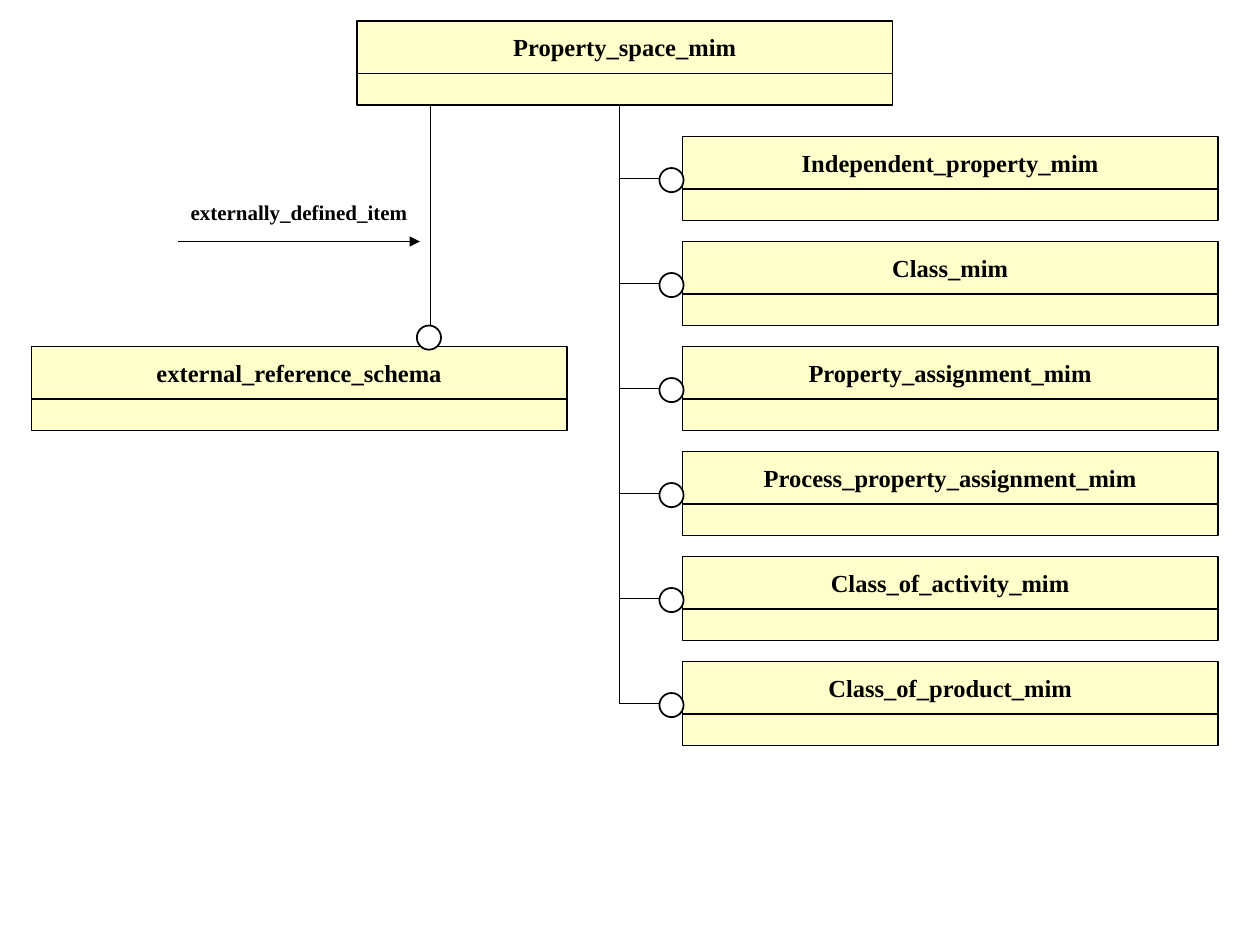
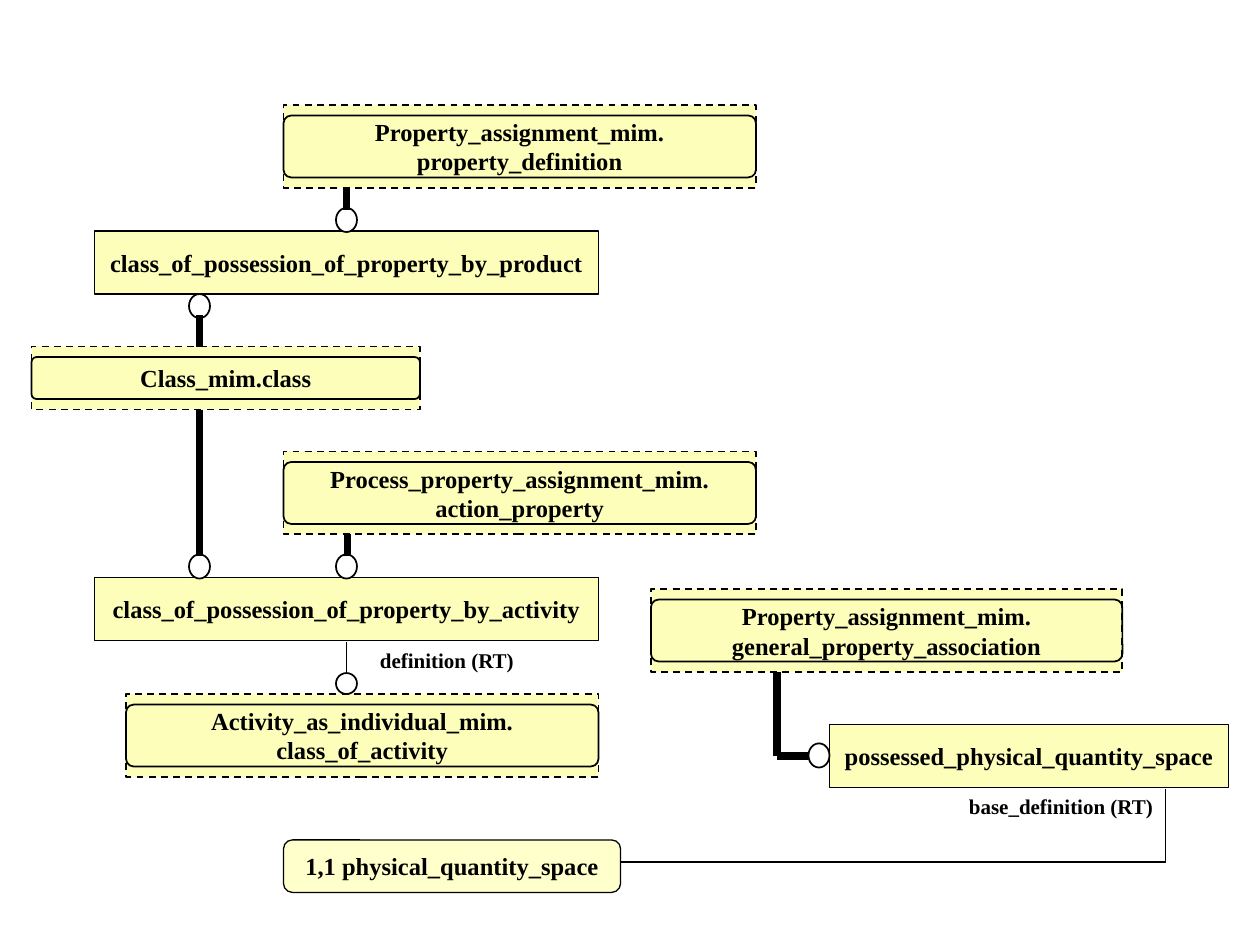
import pptx
import pptx.util
import pptx.dml.color
import pptx.enum.dml
import pptx.enum.shapes
import pptx.enum.text
import pptx.oxml

SHAPE = pptx.enum.shapes.MSO_SHAPE
ALIGN = pptx.enum.text.PP_ALIGN
ANCHOR = pptx.enum.text.MSO_ANCHOR
PX = 7620  # EMU per px: 120 px to the inch
COLORS = {"ink": "000000", "paper": "FFFFFF", "schema": "FFFFCC", "entity": "FCFEB9"}
FONT = "Times New Roman"


def rgb(name):
    return pptx.dml.color.RGBColor.from_string(COLORS[name])


class Diagram:
    """The shared style, and the slide being drawn on."""

    def __init__(self, prs):
        self.prs = prs
        self.s = None

    def new_slide(self):
        self.s = self.prs.slides.add_slide(self.prs.slide_layouts[6])
        self.s.background.fill.solid()
        self.s.background.fill.fore_color.rgb = rgb("paper")

    def set_text(self, sp, text, size, align):
        tf = sp.text_frame
        tf.text = text
        for p in tf.paragraphs:
            p.alignment = align
            p.font.name = FONT
            p.font.size = pptx.util.Pt(size)
            p.font.bold = True
            p.font.color.rgb = rgb("ink")
        return tf

    def shape(self, kind, x, y, w, h, fill=None, text="", weight=1, radius=None, parent=None):
        shapes = (parent or self.s).shapes
        sp = shapes.add_shape(kind, x * PX, y * PX, w * PX, h * PX)
        sp.shadow.inherit = False
        if fill:
            sp.fill.solid()
            sp.fill.fore_color.rgb = rgb(fill)
        else:
            sp.fill.background()
        sp.line.color.rgb = rgb("ink")
        sp.line.width = pptx.util.Pt(weight)
        if radius:
            sp.adjustments[0] = radius
        if text:
            tf = self.set_text(sp, text, 14, ALIGN.CENTER)
            tf.word_wrap = False
            tf.vertical_anchor = ANCHOR.MIDDLE
        return sp

    def schema(self, x, y, name):
        """A named box with an empty compartment below."""
        group = self.s.shapes.add_group_shape()
        self.shape(SHAPE.RECTANGLE, x, y, 510, 50, "schema", name, 0.75, parent=group)
        self.shape(SHAPE.RECTANGLE, x, y + 50, 510, 30, "schema", weight=0.75, parent=group)

    def entity(self, x, y, w, name):
        self.shape(SHAPE.RECTANGLE, x, y, w, 60, "entity", name)

    def reference(self, x, y, w, h, name):
        """A dashed box with a rounded frame: an entity of another schema."""
        group = self.s.shapes.add_group_shape()
        box = self.shape(SHAPE.RECTANGLE, x, y, w, h, "entity", name, parent=group)
        box.line.dash_style = pptx.enum.dml.MSO_LINE.DASH
        self.shape(SHAPE.ROUNDED_RECTANGLE, x, y + 10, w, h - 20, radius=0.125, parent=group)

    def circle(self, x, y, w, h):
        self.shape(SHAPE.OVAL, x, y, w, h, "paper")

    def line(self, x1, y1, x2, y2, weight=1, arrow=False):
        cn = self.s.shapes.add_connector(
            pptx.enum.shapes.MSO_CONNECTOR.STRAIGHT, x1 * PX, y1 * PX, x2 * PX, y2 * PX)
        cn.line.color.rgb = rgb("ink")
        cn.line.width = pptx.util.Pt(weight)
        props = cn._element.spPr
        if arrow:
            ln = props.find(pptx.oxml.ns.qn("a:ln"))
            ln.append(ln.makeelement(pptx.oxml.ns.qn("a:tailEnd"), {"type": "triangle"}))
        props.append(props.makeelement(pptx.oxml.ns.qn("a:effectLst"), {}))

    def label(self, x, y, w, h, text, align):
        sp = self.s.shapes.add_textbox(x * PX, y * PX, w * PX, h * PX)
        self.set_text(sp, text, 12, align).word_wrap = True


def schema_level(d):
    d.new_slide()
    d.schema(340, 20, "Property_space_mim")

    used = ["Independent_property_mim", "Class_mim", "Property_assignment_mim",
            "Process_property_assignment_mim", "Class_of_activity_mim", "Class_of_product_mim"]
    trunk, pitch = 590, 100
    d.line(trunk, 670, trunk, 100, 0.75)
    for i, name in enumerate(used):
        top = 130 + i * pitch
        d.schema(650, top, name)
        d.line(trunk, top + 40, 630, top + 40, 0.75)
        d.circle(628, top + 30, 23, 23)

    d.schema(30, 330, "external_reference_schema")
    d.line(410, 310, 410, 100)
    d.circle(397, 310, 23, 23)
    d.label(110, 184, 290, 36, "externally_defined_item", ALIGN.RIGHT)
    d.line(170, 230, 400, 230, arrow=True)


def entity_level(d):
    d.new_slide()
    for x, y, w, h, name in [
        (270, 100, 450, 79, "Property_assignment_mim.\nproperty_definition"),
        (30, 330, 370, 60, "Class_mim.class"),
        (270, 430, 450, 79, "Process_property_assignment_mim.\naction_property"),
        (620, 561, 449, 79, "Property_assignment_mim.\ngeneral_property_association"),
        (120, 661, 450, 79, "Activity_as_individual_mim.\nclass_of_activity"),
    ]:
        d.reference(x, y, w, h, name)

    d.entity(90, 220, 480, "class_of_possession_of_property_by_product")
    d.entity(90, 550, 480, "class_of_possession_of_property_by_activity")
    d.entity(790, 690, 380, "possessed_physical_quantity_space")

    for x, y in [(320, 198), (180, 280), (180, 528), (320, 528), (770, 708)]:
        d.circle(x, y, 20, 23)
    d.circle(320, 641, 20, 20)

    subtype = 4.5
    for x1, y1, x2, y2 in [(330, 200, 330, 180), (190, 330, 190, 300), (190, 530, 190, 390),
                           (331, 530, 331, 509), (740, 720, 770, 720), (740, 720, 740, 640)]:
        d.line(x1, y1, x2, y2, subtype)

    d.line(330, 641, 330, 611)
    d.label(350, 611, 200, 36, "definition (RT)", ALIGN.LEFT)
    d.line(590, 821, 1110, 821)
    d.line(1110, 821, 1110, 751)
    d.label(910, 750, 200, 60, "base_definition (RT)", ALIGN.RIGHT)
    d.shape(SHAPE.ROUNDED_RECTANGLE, 270, 800, 321, 50, "schema",
            "1,1 physical_quantity_space", 0.75, radius=0.17)


def main():
    prs = pptx.Presentation()
    prs.slide_width, prs.slide_height = 1200 * PX, 900 * PX
    d = Diagram(prs)
    schema_level(d)
    entity_level(d)
    prs.save("out.pptx")


if __name__ == "__main__":
    main()
